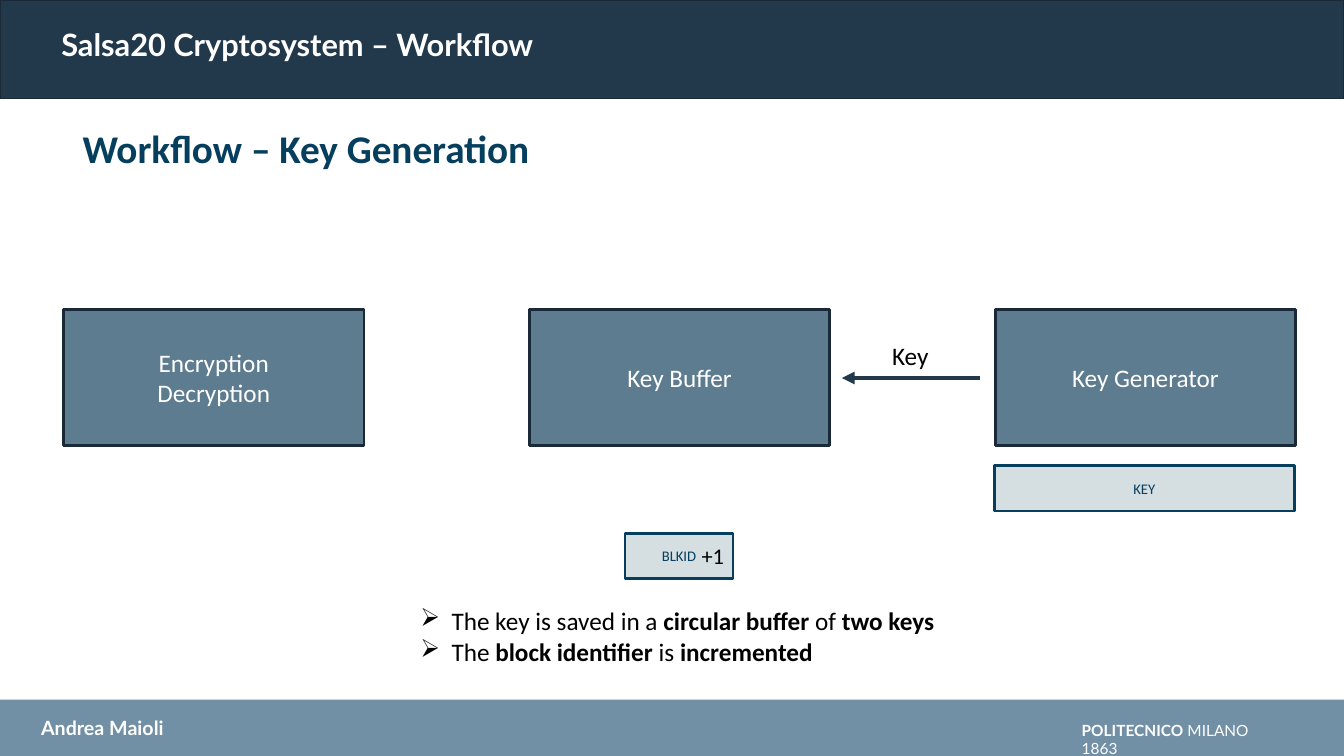
from lxml.etree import SubElement
from pptx import Presentation
from pptx.dml.color import RGBColor
from pptx.enum.shapes import MSO_CONNECTOR, MSO_SHAPE
from pptx.enum.text import MSO_ANCHOR, PP_ALIGN
from pptx.oxml.ns import qn
from pptx.util import Inches, Pt

COLORS = {
    "white": "FFFFFF", "black": "000000", "footer": "718FA5", "header": "22384B",
    "outline": "192937", "stage": "5E7C8F", "field": "D5DEE1", "accent": "063E5D",
}


class WorkflowSlide:
    font = "Calibri"
    heading_font = "Lato"

    def __init__(self, presentation):
        self.slide = presentation.slides.add_slide(presentation.slide_layouts[6])

    def color(self, name):
        return RGBColor.from_string(COLORS[name])

    def fill_text(self, frame, paragraphs, size, color, font=None, align=None, bullet=None, spacing=None):
        for index, runs in enumerate(paragraphs):
            paragraph = frame.paragraphs[0] if index == 0 else frame.add_paragraph()
            if align is not None:
                paragraph.alignment = align
            if spacing:
                paragraph.line_spacing = spacing
            if bullet:
                properties = paragraph._p.get_or_add_pPr()
                properties.set("marL", str(Inches(0.31)))
                properties.set("indent", str(-Inches(0.31)))
                SubElement(properties, qn("a:buChar"), char=bullet)
            paragraph.font.name = font or self.font
            paragraph.font.size = Pt(size)
            paragraph.font.color.rgb = self.color(color)
            mixed = len({bold for _, bold in runs}) > 1
            if not mixed:
                paragraph.font.bold = runs[0][1]
            for text, bold in runs:
                run = paragraph.add_run()
                run.text = text
                if mixed:
                    run.font.bold = bold

    def text(self, left, top, width, height, paragraphs, size, color, wrap=True, **style):
        box = self.slide.shapes.add_textbox(Inches(left), Inches(top), Inches(width), Inches(height))
        box.text_frame.word_wrap = wrap
        self.fill_text(box.text_frame, paragraphs, size, color, **style)

    def rectangle(self, left, top, width, height, fill, line=None, line_width=1):
        shape = self.slide.shapes.add_shape(
            MSO_SHAPE.RECTANGLE, Inches(left), Inches(top), Inches(width), Inches(height))
        shape.shadow.inherit = False
        shape.fill.solid()
        shape.fill.fore_color.rgb = self.color(fill)
        if line:
            shape.line.color.rgb = self.color(line)
            shape.line.width = Pt(line_width)
        else:
            shape.line.fill.background()
        return shape

    def labelled(self, left, top, width, height, lines, size, fill, line, color):
        frame = self.rectangle(left, top, width, height, fill, line, 2).text_frame
        frame.word_wrap = True
        frame.vertical_anchor = MSO_ANCHOR.MIDDLE
        self.fill_text(frame, [[(text, False)] for text in lines], size, color, align=PP_ALIGN.CENTER)

    def stage(self, left, lines):
        self.labelled(left, 3.07, 2.98, 1.35, lines, 18, "stage", "outline", "white")

    def field(self, left, top, width, name):
        self.labelled(left, top, width, 0.45, [name], 10.5, "field", "accent", "accent")

    def arrow(self, tip, tail, y):
        connector = self.slide.shapes.add_connector(
            MSO_CONNECTOR.STRAIGHT, Inches(tip), Inches(y), Inches(tail), Inches(y))
        connector.line.color.rgb = self.color("header")
        connector.line.width = Pt(3)
        properties = connector._element.spPr
        SubElement(properties.find(qn("a:ln")), qn("a:headEnd"), type="triangle")
        SubElement(properties, qn("a:effectLst"))


def main():
    presentation = Presentation()
    presentation.slide_width = Inches(13.33)
    presentation.slide_height = Inches(7.5)
    page = WorkflowSlide(presentation)
    lato = page.heading_font

    page.rectangle(0, 6.94, 13.33, 0.56, "footer")
    page.rectangle(0, 0, 13.33, 0.98, "header", "outline")
    page.text(10.63, 7.1, 2.19, 0.29, [[("POLITECNICO", True), (" MILANO 1863", False)]],
              11, "white", font=lato)
    page.text(0.31, 7.05, 3.06, 0.34, [[("Andrea Maioli", True)]], 14, "white", font=lato)
    page.text(0.51, 0.25, 6.15, 0.36, [[("Salsa20 Cryptosystem – Workflow", True)]],
              22, "white", font=lato, spacing=0.9)
    page.text(0.72, 1.18, 12.52, 0.57, [[("Workflow – Key Generation", True)]], 28, "accent")

    stages = [["Encryption", "Decryption"], ["Key Buffer"], ["Key Generator"]]
    for column, lines in enumerate(stages):
        page.stage(0.63 + column * 4.62, lines)

    page.arrow(8.35, 9.72, 3.75)
    page.text(8.75, 3.33, 0.57, 0.4, [[("Key", False)]], 18, "black", wrap=False)
    page.field(9.86, 4.62, 2.98, "KEY")
    page.field(6.2, 5.29, 1.07, "BLKID")
    page.text(6.86, 5.33, 0.43, 0.37, [[("+1", False)]], 16, "black", wrap=False)

    page.text(4.07, 5.96, 5.32, 0.71, [
        [("The key is saved in a ", False), ("circular buffer", True), (" of ", False), ("two keys", True)],
        [("The ", False), ("block identifier", True), (" is ", False), ("incremented", True)],
    ], 18, "black", bullet="➢")

    presentation.save("out.pptx")


if __name__ == "__main__":
    main()
